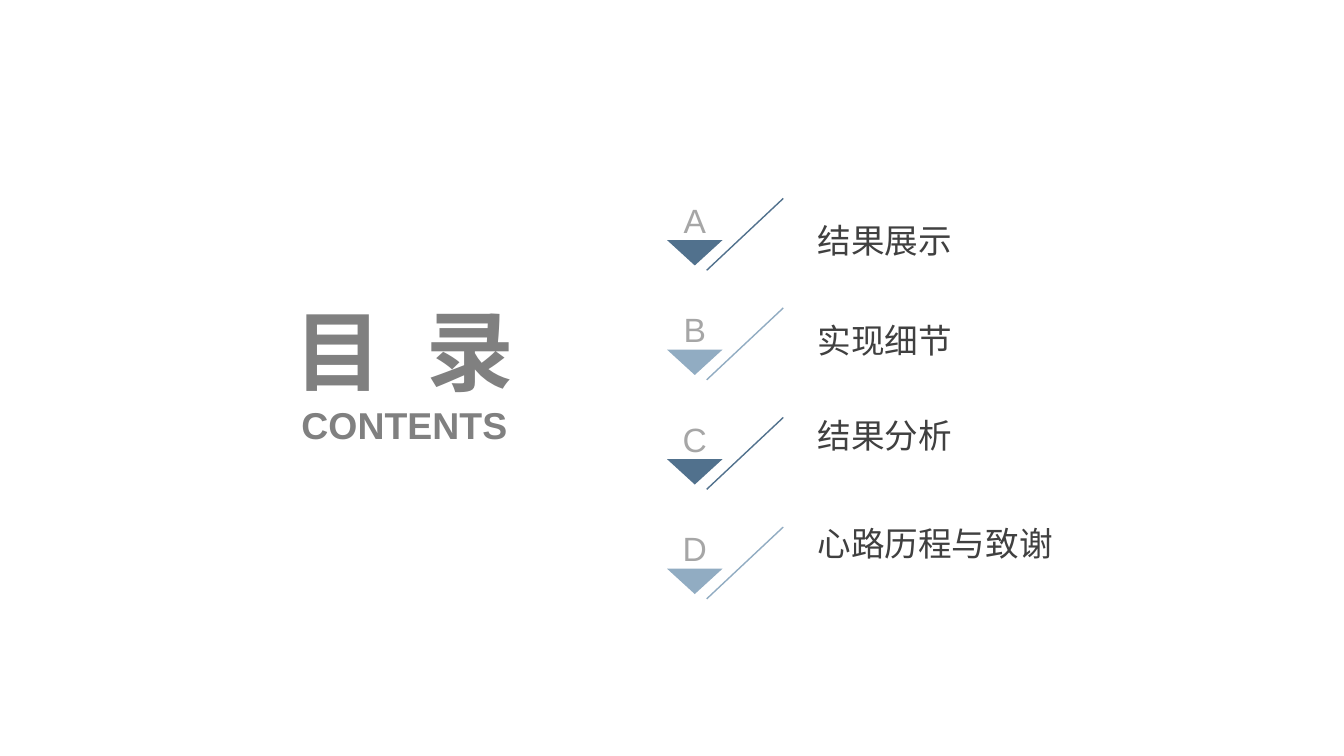
from dataclasses import dataclass

from lxml.etree import SubElement
from pptx import Presentation
from pptx.dml.color import RGBColor
from pptx.enum.shapes import MSO_CONNECTOR
from pptx.enum.text import MSO_ANCHOR, MSO_AUTO_SIZE, PP_ALIGN
from pptx.oxml.ns import qn
from pptx.util import Cm, Pt

LATIN = "Arial"
HAN = "Noto Sans CJK SC"
GREY, LIGHT, DARK = "808080", "A6A6A6", "404040"
NAVY, SKY = "51718D", "91ACC2"
PITCH = 2.76


@dataclass
class Item:
    mark: str
    text: str
    gap: float
    color: str


ITEMS = [
    Item("A", "结果展示", 0, NAVY),
    Item("B", "实现细节", 43, SKY),
    Item("C", "结果分析", 39, NAVY),
    Item("D", "心路历程与致谢", 48, SKY),
]


def rgb(code: str) -> RGBColor:
    return RGBColor.from_string(code)


def place(shape, left: float, top: float, width: float, height: float) -> None:
    shape.left, shape.top = Cm(left), Cm(top)
    shape.width, shape.height = Cm(width), Cm(height)


def set_frame(shape, anchor: MSO_ANCHOR):
    """Clear the margins, fix the size and return the text frame."""
    frame = shape.text_frame
    frame.margin_left = frame.margin_right = 0
    frame.margin_top = frame.margin_bottom = 0
    frame.word_wrap = True
    frame.auto_size = MSO_AUTO_SIZE.NONE
    frame.vertical_anchor = anchor
    return frame


def add_run(para, text: str, size: float, color: str,
            font: str = LATIN, bold: bool = False):
    run = para.add_run()
    run.text = text
    run.font.size = Pt(size)
    run.font.name = font
    run.font.bold = bold
    run.font.color.rgb = rgb(color)
    props = run._r.get_or_add_rPr()
    SubElement(props, qn("a:ea")).set("typeface", HAN)
    return run


def add_label(shapes, box: tuple[float, float, float, float], anchor: MSO_ANCHOR,
              text: str, size: float, color: str, bold: bool = False) -> None:
    label = shapes.add_textbox(0, 0, 0, 0)
    place(label, *box)
    para = set_frame(label, anchor).paragraphs[0]
    para.alignment = PP_ALIGN.CENTER
    add_run(para, text, size, color, bold=bold)


def add_mark(shapes, item: Item, top: float) -> None:
    """Draw the slanted line, triangle and letter of one entry."""
    group = shapes.add_group_shape().shapes
    line = group.add_connector(MSO_CONNECTOR.STRAIGHT, Cm(19.74), Cm(top),
                               Cm(17.81), Cm(top + 1.81))
    line.line.color.rgb = rgb(item.color)
    line.line.width = Pt(1)
    SubElement(line._element.spPr, qn("a:effectLst"))

    edge = top + 1.05
    path = group.build_freeform(Cm(16.81), Cm(edge))
    path.add_line_segments([(Cm(18.21), Cm(edge)), (Cm(17.51), Cm(edge + 0.64))])
    wedge = path.convert_to_shape()
    wedge.shadow.inherit = False
    wedge.fill.solid()
    wedge.fill.fore_color.rgb = rgb(item.color)
    wedge.line.fill.background()

    add_label(group, (16.76, top + 0.03, 1.5, 1.02), MSO_ANCHOR.BOTTOM,
              item.mark, 24, LIGHT)


def fill_title(title) -> None:
    place(title, 6.4, 7.47, 7.57, 2.67)
    para = set_frame(title, MSO_ANCHOR.MIDDLE).paragraphs[0]
    para.alignment = PP_ALIGN.CENTER
    for text in ("目", " ", "录"):
        run = add_run(para, text, 62.6, GREY, bold=True)
        if text == " ":
            run._r.get_or_add_rPr().set("spc", "1740")


def fill_list(body) -> None:
    place(body, 20.6, 5.54, 8.08, 10.2)
    frame = set_frame(body, MSO_ANCHOR.TOP)
    for index, item in enumerate(ITEMS):
        para = frame.add_paragraph() if index else frame.paragraphs[0]
        para.alignment = PP_ALIGN.LEFT
        para.line_spacing = 1.0
        para.space_before = Pt(item.gap)
        props = para._p.get_or_add_pPr()
        props.set("marL", "0")
        props.set("indent", "0")
        SubElement(props, qn("a:buNone"))
        add_run(para, item.text, 24, DARK, HAN)


def main() -> None:
    deck = Presentation()
    deck.slide_width, deck.slide_height = Cm(33.87), Cm(19.05)
    slide = deck.slides.add_slide(deck.slide_layouts[1])
    fill_title(slide.shapes.title)
    fill_list(slide.placeholders[1])
    add_label(slide.shapes, (6.45, 10.13, 7.49, 1.14), MSO_ANCHOR.TOP,
              "CONTENTS", 26.7, GREY, bold=True)
    for index, item in enumerate(ITEMS):
        add_mark(slide.shapes, item, 5 + index * PITCH)
    deck.save("out.pptx")


if __name__ == "__main__":
    main()
